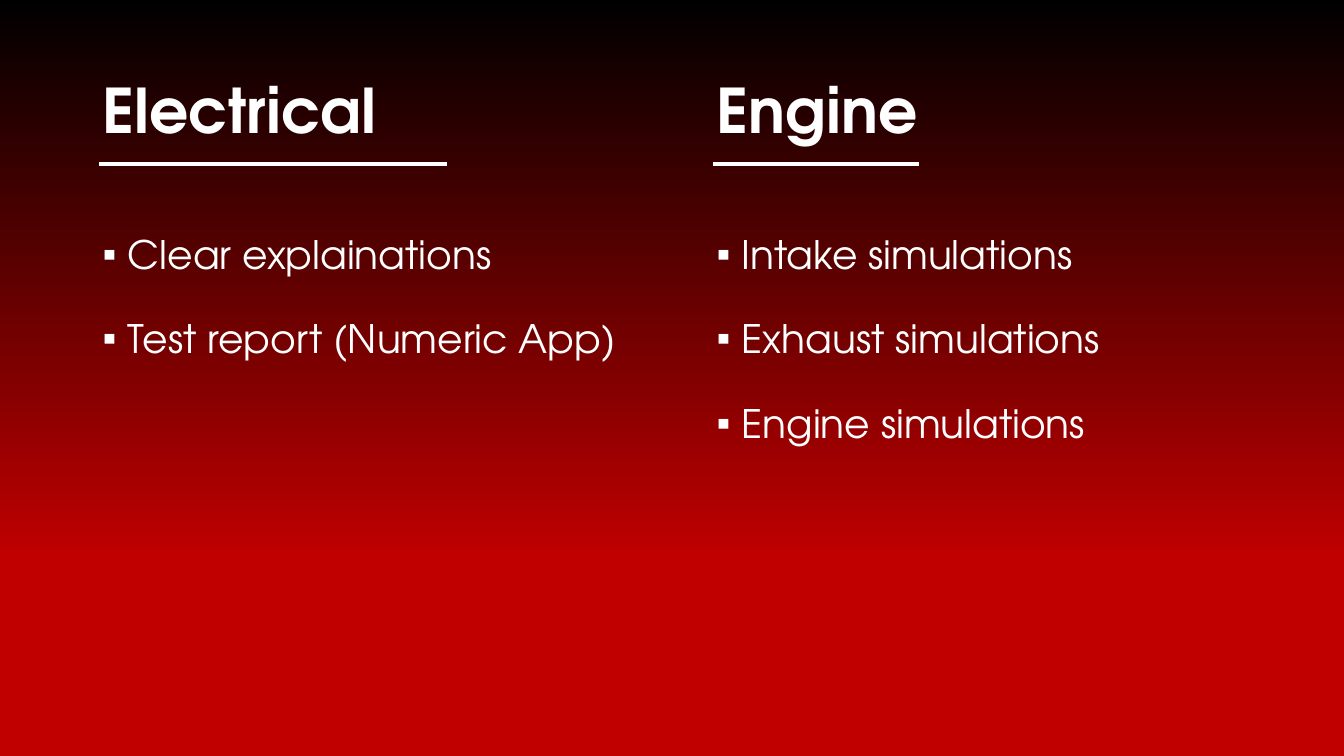
from dataclasses import dataclass

import lxml.etree
import pptx
import pptx.dml.color
import pptx.enum.shapes
import pptx.enum.text
import pptx.oxml.ns
import pptx.util

Inches = pptx.util.Inches
Pt = pptx.util.Pt
qn = pptx.oxml.ns.qn


@dataclass(frozen=True)
class Theme:
    font: str = "TeX Gyre Adventor"
    text: str = "FFFFFF"
    gradient: tuple = ((0, "000000"), (74, "C00000"), (83, "C00000"))
    heading_size: int = 44
    body_size: int = 28
    rule_width: int = 3


THEME = Theme()

COLUMNS = [
    (0.92, 5.35, 3.45, "Electrical",
     ["Clear explainations", "Test report (Numeric App)"]),
    (7.01, 5.84, 2.05, "Engine",
     ["Intake simulations", "Exhaust simulations", "Engine simulations"]),
]


def rgb(value):
    return pptx.dml.color.RGBColor.from_string(value)


def set_background(s):
    fill = s.background.fill
    fill.gradient()
    fill.gradient_angle = 270
    stops = s.element.find(".//" + qn("a:gsLst"))
    for stop in list(stops):
        stops.remove(stop)
    for position, color in THEME.gradient:
        stop = lxml.etree.SubElement(stops, qn("a:gs"), pos=str(position * 1000))
        lxml.etree.SubElement(stop, qn("a:srgbClr"), val=color)


def add_text(s, left, top, width, height, lines, size, spacing, bold=False):
    sp = s.shapes.add_textbox(Inches(left), Inches(top), Inches(width), Inches(height))
    tf = sp.text_frame
    tf.word_wrap = True
    tf.text = "\n".join(lines)
    for p in tf.paragraphs:
        p.line_spacing = spacing
        for r in p.runs:
            r.font.name = THEME.font
            r.font.size = Pt(size)
            r.font.bold = bold
            r.font.color.rgb = rgb(THEME.text)
    return tf


def add_heading(s, left, width, heading):
    tf = add_text(s, left, 0.4, width, 1.45, [heading], THEME.heading_size, 0.9, bold=True)
    tf.vertical_anchor = pptx.enum.text.MSO_ANCHOR.MIDDLE


def add_bullets(s, left, width, items):
    tf = add_text(s, left, 2, width, 4.76, items, THEME.body_size, 1.5)
    for p in tf.paragraphs:
        p.space_before = Pt(10)
        props = p._p.get_or_add_pPr()
        props.set("marL", str(Inches(0.25)))
        props.set("indent", str(Inches(-0.25)))
        lxml.etree.SubElement(props, qn("a:buFont"), typeface="Arial")
        lxml.etree.SubElement(props, qn("a:buChar"), char="▪")


def add_rule(s, left, length):
    y = Inches(1.63)
    line = s.shapes.add_connector(
        pptx.enum.shapes.MSO_CONNECTOR.STRAIGHT,
        Inches(left), y, Inches(left + length), y)
    line.line.color.rgb = rgb(THEME.text)
    line.line.width = Pt(THEME.rule_width)
    lxml.etree.SubElement(line._element.spPr, qn("a:effectLst"))


def add_column(s, left, width, rule_length, heading, items):
    add_heading(s, left, width, heading)
    add_bullets(s, left, width, items)
    add_rule(s, left + 0.06, rule_length)


def main():
    prs = pptx.Presentation()
    prs.slide_width = Inches(13.33)
    prs.slide_height = Inches(7.5)
    s = prs.slides.add_slide(prs.slide_layouts[6])
    set_background(s)
    for column in COLUMNS:
        add_column(s, *column)
    prs.save("out.pptx")


if __name__ == "__main__":
    main()
